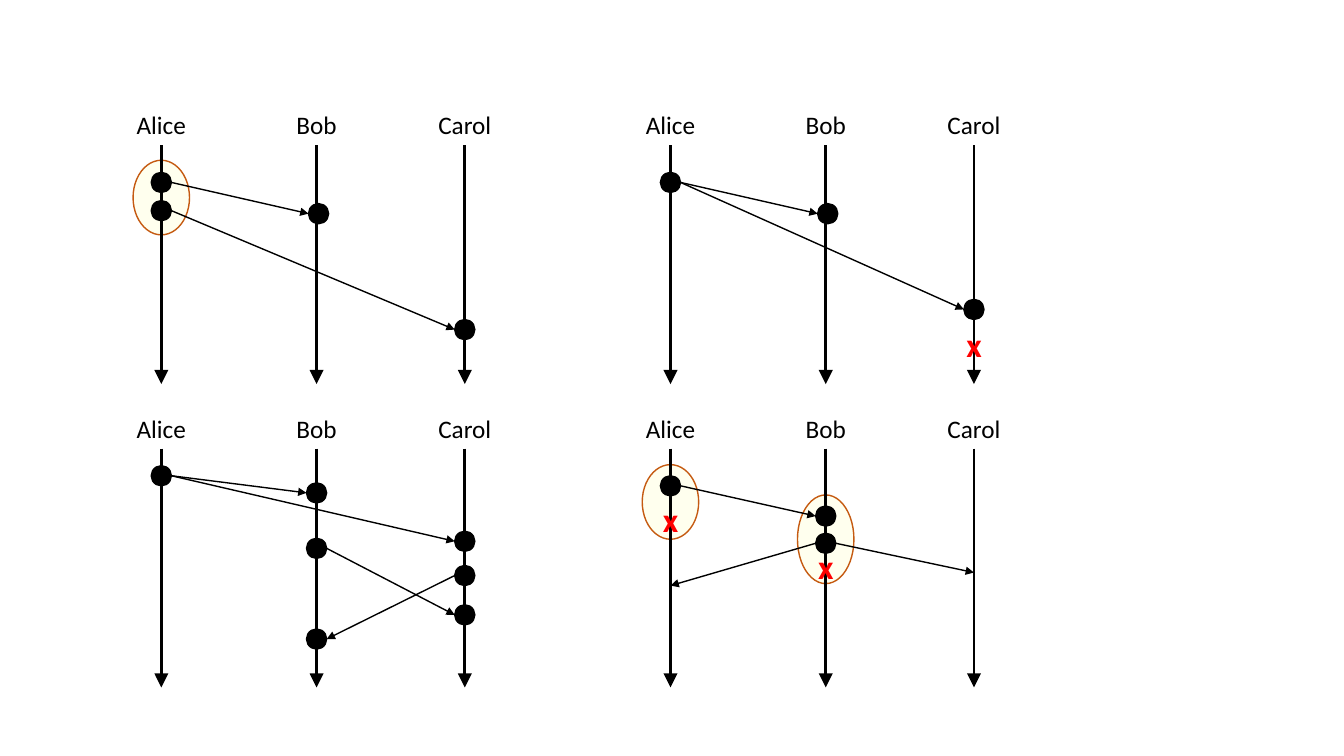
from dataclasses import dataclass

from lxml import etree
from pptx import Presentation
from pptx import util as u
from pptx.dml.color import RGBColor
from pptx.enum import shapes, text
from pptx.oxml import ns

BLACK = RGBColor(0x00, 0x00, 0x00)
RED = RGBColor(0xFF, 0x00, 0x00)
CREAM = RGBColor(0xFF, 0xFF, 0xEE)
ORANGE = RGBColor(0xC5, 0x5A, 0x11)

CELL = u.Inches(0.01)
ALICE, BOB, CAROL = 0, 154, 301
LANES = {"Alice": (ALICE, 70), "Bob": (BOB, 61), "Carol": (CAROL, 74)}
LANE_LENGTH = 237
LABEL_CENTER = -20
DOT = 20


@dataclass
class Scenario:
    left: int
    top: int
    events: list
    messages: list
    highlights: tuple = ()
    crashes: tuple = ()


SCENARIOS = [
    Scenario(
        160, 144,
        events=[(ALICE, 37), (ALICE, 65), (BOB + 2, 68), (CAROL, 183)],
        messages=[((ALICE, 37), (BOB + 2, 68)), ((ALICE, 65), (CAROL, 183))],
        highlights=((ALICE, 52, 74),),
    ),
    Scenario(
        665, 144,
        events=[(ALICE, 37), (BOB + 2, 68), (CAROL, 163)],
        messages=[((ALICE, 37), (BOB + 2, 68)), ((ALICE, 37), (CAROL, 163))],
        crashes=((CAROL, 197),),
    ),
    Scenario(
        160, 445,
        events=[(ALICE, 27), (BOB, 44), (BOB, 99), (BOB, 189),
                (CAROL, 92), (CAROL, 126), (CAROL, 165)],
        messages=[((ALICE, 27), (BOB, 44)), ((ALICE, 27), (CAROL, 92)),
                  ((BOB, 99), (CAROL, 165)), ((CAROL, 126), (BOB, 189))],
    ),
    Scenario(
        665, 445,
        events=[(ALICE, 37), (BOB, 67), (BOB, 94)],
        messages=[((ALICE, 37), (BOB, 67)), ((BOB, 94), (ALICE, 136)),
                  ((BOB, 94), (CAROL, 123))],
        highlights=((ALICE, 53, 74), (BOB, 90, 88)),
        crashes=((ALICE, 70), (BOB, 117)),
    ),
]


def add_ellipse(slide, x, y, width, height, fill, line):
    shape = slide.shapes.add_shape(
        shapes.MSO_SHAPE.OVAL, int((x - width / 2) * CELL),
        int((y - height / 2) * CELL), width * CELL, height * CELL)
    shape.shadow.inherit = False
    shape.fill.solid()
    shape.fill.fore_color.rgb = fill
    shape.line.color.rgb = line
    shape.line.width = u.Pt(1)


def add_arrow(slide, start, end, weight, head):
    connector = slide.shapes.add_connector(
        shapes.MSO_CONNECTOR.STRAIGHT, *(value * CELL for value in (*start, *end)))
    connector.line.color.rgb = BLACK
    connector.line.width = u.Pt(weight)
    etree.SubElement(connector.line._get_or_add_ln(), ns.qn("a:tailEnd"),
                     type="triangle", w=head, len=head)
    etree.SubElement(connector._element.spPr, ns.qn("a:effectLst"))


def add_caption(slide, x, y, width, height, words, size, color, bold=False):
    box = slide.shapes.add_textbox(
        int((x - width / 2) * CELL), int((y - height / 2) * CELL),
        width * CELL, height * CELL)
    frame = box.text_frame
    frame.word_wrap = False
    frame.auto_size = text.MSO_AUTO_SIZE.SHAPE_TO_FIT_TEXT
    paragraph = frame.paragraphs[0]
    paragraph.alignment = text.PP_ALIGN.CENTER
    run = paragraph.add_run()
    run.text = words
    run.font.name = "Calibri"
    run.font.size = u.Pt(size)
    run.font.bold = bold
    run.font.color.rgb = color


def add_scenario(slide, scenario):
    def place(x, y):
        return scenario.left + x, scenario.top + y

    for x, y, height in scenario.highlights:
        add_ellipse(slide, *place(x, y), 56, height, CREAM, ORANGE)
    for name, (x, width) in LANES.items():
        add_caption(slide, *place(x, LABEL_CENTER), width, 40, name, 18, BLACK)
        add_arrow(slide, place(x, 0), place(x, LANE_LENGTH), 2, "lg")
    for start, end in scenario.messages:
        reach = DOT // 2 if end[0] > start[0] else -DOT // 2
        gap = reach if end in scenario.events else 0
        add_arrow(slide, place(start[0] + reach, start[1]),
                  place(end[0] - gap, end[1]), 1, "med")
    for event in scenario.events:
        add_ellipse(slide, *place(*event), DOT, DOT, BLACK, BLACK)
    for crash in scenario.crashes:
        add_caption(slide, *place(*crash), 35, 50, "x", 24, RED, bold=True)


def main():
    presentation = Presentation()
    presentation.slide_width = u.Inches(13.33)
    presentation.slide_height = u.Inches(7.5)
    slide = presentation.slides.add_slide(presentation.slide_layouts[6])
    for scenario in SCENARIOS:
        add_scenario(slide, scenario)
    presentation.save("out.pptx")


if __name__ == "__main__":
    main()
